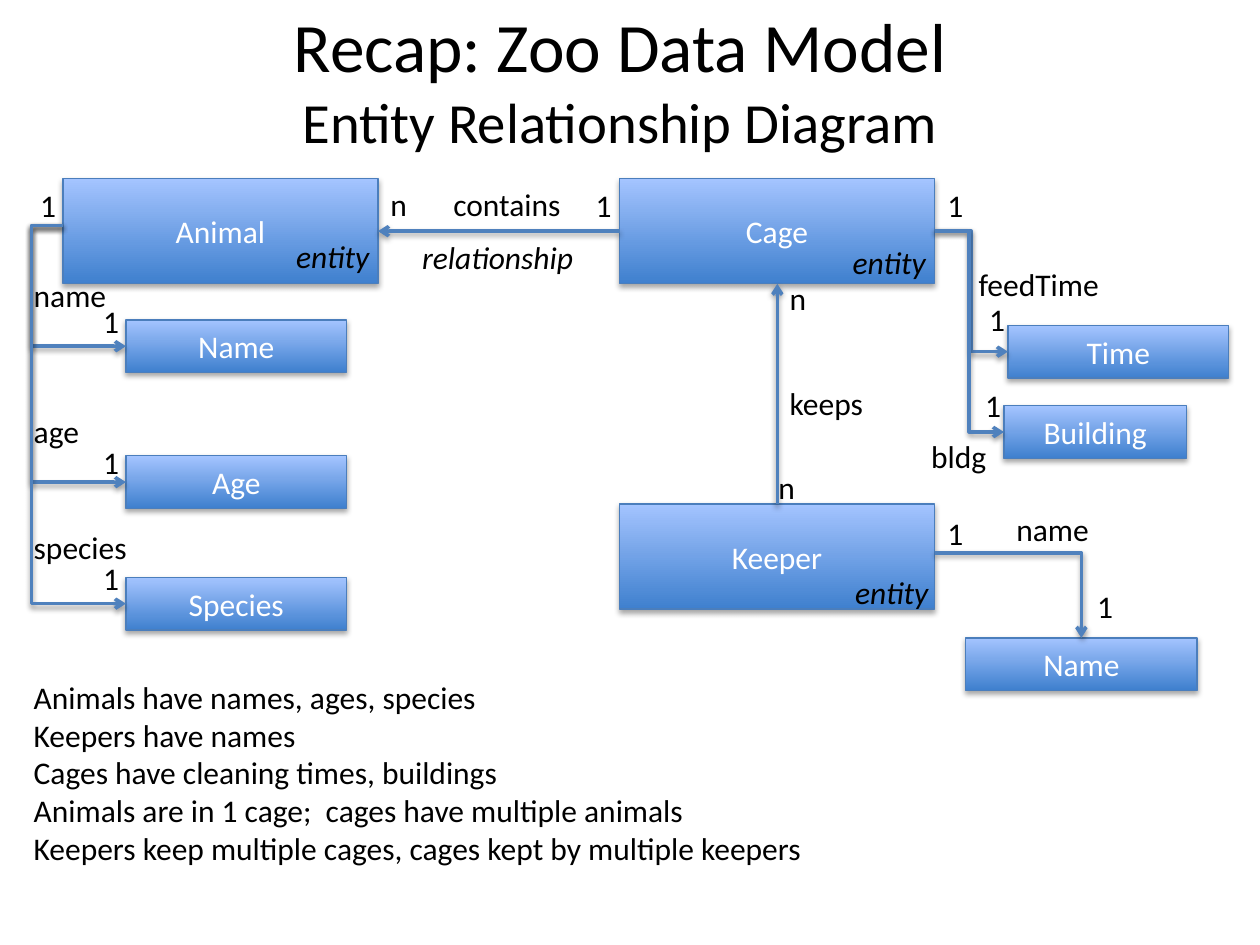
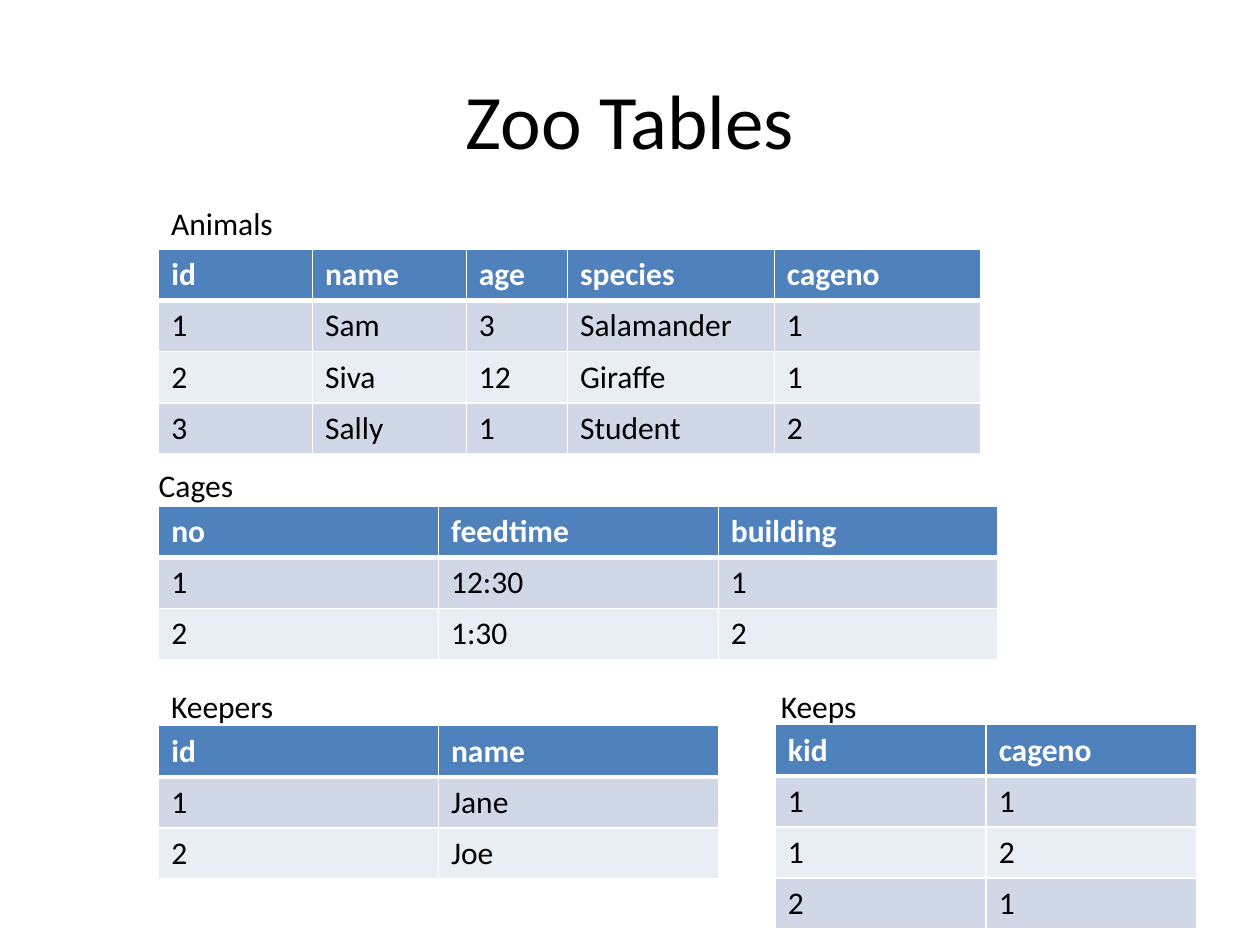
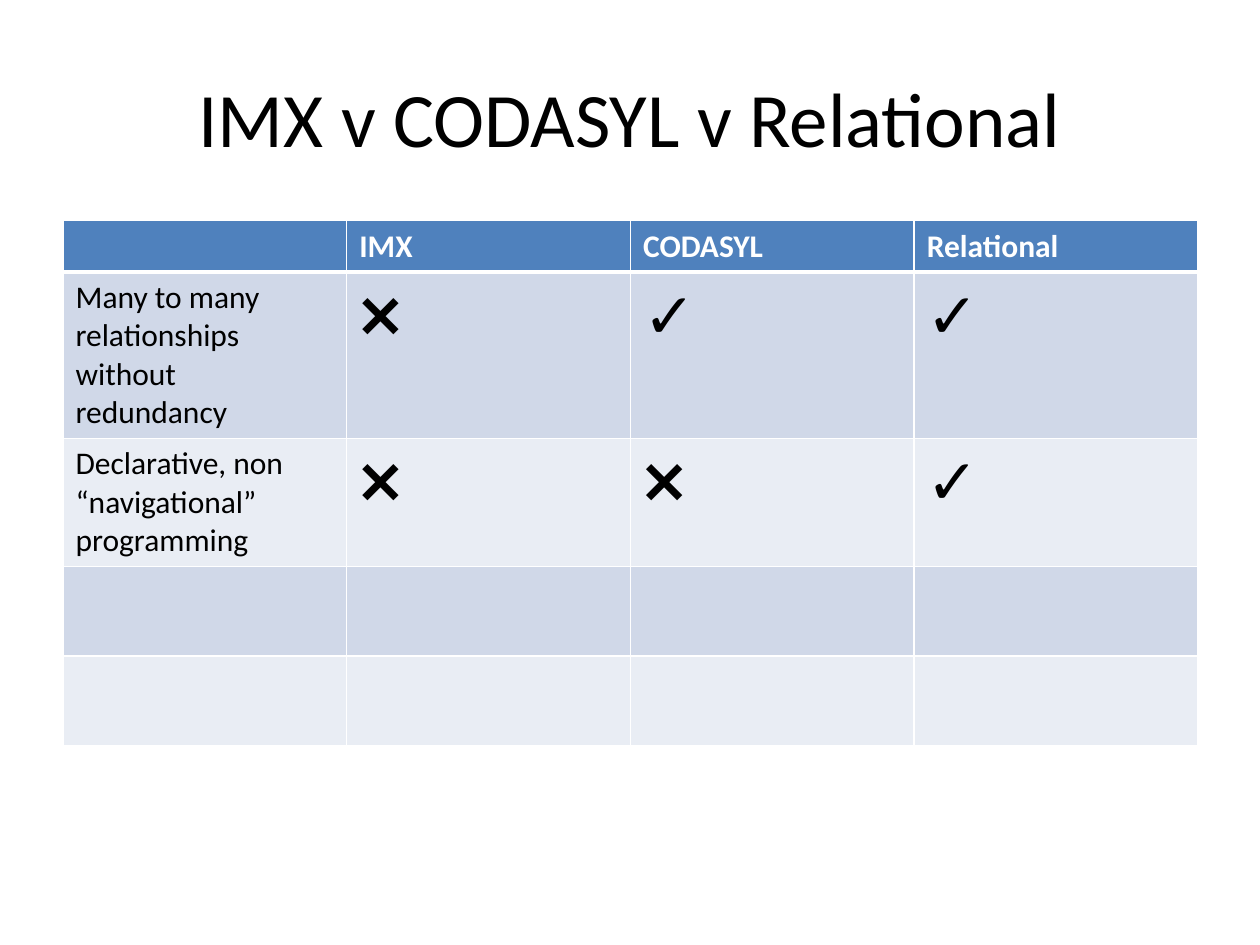
from lxml import etree
from pptx import Presentation
from pptx import util as u
from pptx.dml.color import RGBColor
from pptx.enum import shapes, text
from pptx.oxml import parse_xml
from pptx.oxml import ns

# Shared look
FONT = "Calibri"
BLACK, WHITE = "000000", "FFFFFF"
BLUE, BOX_EDGE = "4F81BD", "4B7EBC"
BOX_BOTTOM, BOX_TOP = "3F80CE", "A4C4FF"
BANDS = ["D0D8E8", "E9EDF4"]
ROW = 1.03
colour = RGBColor.from_string

SHADOW = (
    f'<a:outerShdw {ns.nsdecls("a")} blurRad="40000" dist="{{}}" dir="5400000" rotWithShape="0">'
    '<a:srgbClr val="000000"><a:alpha val="{}"/></a:srgbClr></a:outerShdw>'
)
BORDER = (
    f'<a:{{}} {ns.nsdecls("a")} w="{{}}"><a:solidFill><a:srgbClr val="{WHITE}"/>'
    '</a:solidFill></a:{}>'
)


def write(para, words, size=18, ink=BLACK, bold=False, italic=False):
    span = para.add_run()
    span.text = words
    span.font.name, span.font.size = FONT, u.Pt(size)
    span.font.bold, span.font.italic = bold, italic
    span.font.color.rgb = colour(ink)


def add_label(page, lines, left, top, width, italic=False, wrap=False):
    box = page.shapes.add_textbox(u.Cm(left), u.Cm(top), u.Cm(width), u.Cm(1.03 * len(lines)))
    frame = box.text_frame
    frame.word_wrap = wrap
    for number, words in enumerate(lines):
        para = frame.add_paragraph() if number else frame.paragraphs[0]
        write(para, words, italic=italic)


deck = Presentation()
deck.slide_width, deck.slide_height = u.Cm(25.4), u.Cm(19.05)

# Pages and titles
titles = [
    (1.07, 0, [("Recap: Zoo Data Model", 39.6), ("Entity Relationship Diagram", 32.4)]),
    (1.27, 0.81, [("Zoo Tables", 44)]),
    (1.27, 0.76, [("IMX v CODASYL v Relational", 44)]),
]
pages = []
for left, top, lines in titles:
    page = deck.slides.add_slide(deck.slide_layouts[5])
    title = page.shapes.title
    title.left, title.top = u.Cm(left), u.Cm(top)
    title.width, title.height = u.Cm(22.86), u.Cm(3.18)
    frame = title.text_frame
    frame.auto_size = text.MSO_AUTO_SIZE.NONE
    frame.vertical_anchor = text.MSO_ANCHOR.MIDDLE
    para = frame.paragraphs[0]
    para.alignment = text.PP_ALIGN.CENTER
    for number, (words, size) in enumerate(lines):
        if number:
            para.add_line_break()
        write(para, words, size)
    pages.append(page)
diagram_page, tables_page, comparison_page = pages

# Diagram: entity and attribute boxes
ENTITY, ATTRIBUTE = 2.12, 1.06
ATTRIBUTE_TOPS = {"Name": 6.45, "Age": 9.19, "Species": 11.64}
boxes = [
    ("Animal", 1.27, 3.6, 6.35, ENTITY),
    ("Cage", 12.49, 3.6, 6.35, ENTITY),
    ("Keeper", 12.49, 10.16, 6.35, ENTITY),
    ("Name", 19.47, 12.86, 4.66, ATTRIBUTE),
    ("Time", 20.32, 6.56, 4.45, ATTRIBUTE),
    ("Building", 20.24, 8.18, 3.68, ATTRIBUTE),
]
boxes += [(name, 2.54, top, 4.45, ATTRIBUTE) for name, top in ATTRIBUTE_TOPS.items()]
for name, left, top, width, height in boxes:
    box = diagram_page.shapes.add_shape(
        shapes.MSO_SHAPE.RECTANGLE, u.Cm(left), u.Cm(top), u.Cm(width), u.Cm(height))
    box.fill.gradient()
    box.fill.gradient_angle = 90
    for stop, shade in zip(box.fill.gradient_stops, (BOX_BOTTOM, BOX_TOP)):
        stop.color.rgb = colour(shade)
    box.line.color.rgb = colour(BOX_EDGE)
    box.line.width = u.Pt(0.75)
    box.shadow.inherit = False
    box.element.spPr.find(ns.qn("a:effectLst")).append(parse_xml(SHADOW.format(23000, 35000)))
    box.text_frame.vertical_anchor = text.MSO_ANCHOR.MIDDLE
    para = box.text_frame.paragraphs[0]
    para.alignment = text.PP_ALIGN.CENTER
    write(para, name, ink=WHITE)

# Diagram: arrows as start, end, preset and bend position
STRAIGHT, CORNER, ELBOW = "line", "bentConnector2", "bentConnector3"
arrows = [
    (15.67, 10.16, 15.67, 5.72, STRAIGHT, None),
    (12.49, 4.66, 7.62, 4.66, STRAIGHT, None),
    (18.84, 11.15, 21.8, 12.86, CORNER, None),
    (18.84, 4.66, 20.32, 7.09, ELBOW, 50000),
    (18.84, 4.66, 20.24, 8.71, ELBOW, 50000),
]
arrows += [(1.27, 4.55, 2.54, top + ATTRIBUTE / 2, ELBOW, -50000)
           for top in ATTRIBUTE_TOPS.values()]
for x1, y1, x2, y2, preset, bend in arrows:
    kind = shapes.MSO_CONNECTOR.STRAIGHT if preset == STRAIGHT else shapes.MSO_CONNECTOR.ELBOW
    arrow = diagram_page.shapes.add_connector(kind, u.Cm(x1), u.Cm(y1), u.Cm(x2), u.Cm(y2))
    arrow.line.color.rgb = colour(BLUE)
    arrow.line.width = u.Pt(2)
    props = arrow._element.spPr
    geometry = props.find(ns.qn("a:prstGeom"))
    geometry.set("prst", preset)
    if bend is not None:
        guides = geometry.find(ns.qn("a:avLst"))
        etree.SubElement(guides, ns.qn("a:gd"), name="adj1", fmla=f"val {bend}")
    etree.SubElement(props.find(ns.qn("a:ln")), ns.qn("a:tailEnd"), type="arrow")
    effects = etree.SubElement(props, ns.qn("a:effectLst"))
    effects.append(parse_xml(SHADOW.format(20000, 38000)))

# Diagram: relationship names and cardinalities, each word with its width and places
labels = {
    "1": (0.84, [(21.87, 11.71), (19.69, 5.92), (1.83, 5.97), (1.83, 8.81), (1.83, 11.15),
                 (18.85, 10.24), (18.85, 3.63), (0.56, 3.63), (19.61, 7.65), (11.76, 3.63)]),
    "n": (0.86, [(7.62, 3.6), (15.67, 5.51), (15.44, 9.32)]),
    "name": (1.98, [(20.24, 10.16), (0.43, 5.44)]),
    "age": (1.45, [(0.43, 8.18)]),
    "species": (2.41, [(0.43, 10.52)]),
    "keeps": (2.01, [(15.67, 7.62)]),
    "feedTime": (2.95, [(19.48, 5.21)]),
    "bldg": (1.63, [(18.52, 8.69)]),
    "contains": (2.69, [(8.89, 3.6)]),
}
for words, (width, places) in labels.items():
    for left, top in places:
        add_label(diagram_page, [words], left, top, width)

for words, left, top, width in [
    ("entity", 5.72, 4.65, 2.29),
    ("entity", 16.94, 4.78, 2.11),
    ("entity", 16.99, 11.43, 3.56),
    ("relationship", 8.26, 4.67, 4.01),
]:
    add_label(diagram_page, [words], left, top, width, italic=True, wrap=True)

add_label(diagram_page, [
    "Animals have names, ages, species",
    "Keepers have names",
    "Cages have cleaning times, buildings",
    "Animals are in 1 cage;  cages have multiple animals",
    "Keepers keep multiple cages, cages kept by multiple keepers",
], 0.43, 13.54, 21.41, wrap=True)

# Tables: page, left, top, column widths, row heights, values
tables = [
    (tables_page, 3.2, 5.03, [3.1, 3.1, 2.04, 4.17, 4.17], [ROW] * 4, [
        ["id", "name", "age", "species", "cageno"],
        ["1", "Sam", "3", "Salamander", "1"],
        ["2", "Siva", "12", "Giraffe", "1"],
        ["3", "Sally", "1", "Student", "2"]]),
    (tables_page, 3.2, 10.21, [5.64] * 3, [ROW] * 3, [
        ["no", "feedtime", "building"],
        ["1", "12:30", "1"],
        ["2", "1:30", "2"]]),
    (tables_page, 3.2, 14.63, [5.64] * 2, [ROW] * 3, [
        ["id", "name"],
        ["1", "Jane"],
        ["2", "Joe"]]),
    (tables_page, 15.63, 14.61, [4.25] * 2, [ROW] * 4, [
        ["kid", "cageno"],
        ["1", "1"],
        ["1", "2"],
        ["2", "1"]]),
    (comparison_page, 1.27, 4.45, [5.72] * 4, [ROW, 3.35, 2.59, 1.8, 1.8], [
        ["", "IMX", "CODASYL", "Relational"],
        ["Many to many relationships without redundancy", "❌", "✓", "✓"],
        ["Declarative, non “navigational” programming", "❌", "❌", "✓"],
        [""] * 4,
        [""] * 4]),
]
for page, left, top, widths, heights, values in tables:
    table = page.shapes.add_table(
        len(heights), len(widths), u.Cm(left), u.Cm(top),
        u.Cm(sum(widths)), u.Cm(sum(heights))).table
    for column, width in zip(table.columns, widths):
        column.width = u.Cm(width)
    for r, (row, height) in enumerate(zip(table.rows, heights)):
        row.height = u.Cm(height)
        header = r == 0
        for cell, words in zip(row.cells, values[r]):
            props = cell._tc.get_or_add_tcPr()
            for side in ("lnL", "lnR", "lnT", "lnB"):
                thick = (r, side) in [(0, "lnB"), (1, "lnT")]
                props.append(parse_xml(BORDER.format(side, u.Pt(3 if thick else 1), side)))
            cell.fill.solid()
            cell.fill.fore_color.rgb = colour(BLUE if header else BANDS[(r - 1) % 2])
            if words:
                write(cell.text_frame.paragraphs[0], words, 36 if words in "❌✓" else 18,
                      WHITE if header else BLACK, bold=header)

# Table captions
for words, left, top in [("Animals", 3.2, 3.99), ("Cages", 2.95, 9.27),
                         ("Keepers", 3.2, 13.72), ("Keeps", 15.49, 13.72)]:
    add_label(tables_page, [words], left, top, 4.62, wrap=True)

deck.save("out.pptx")
